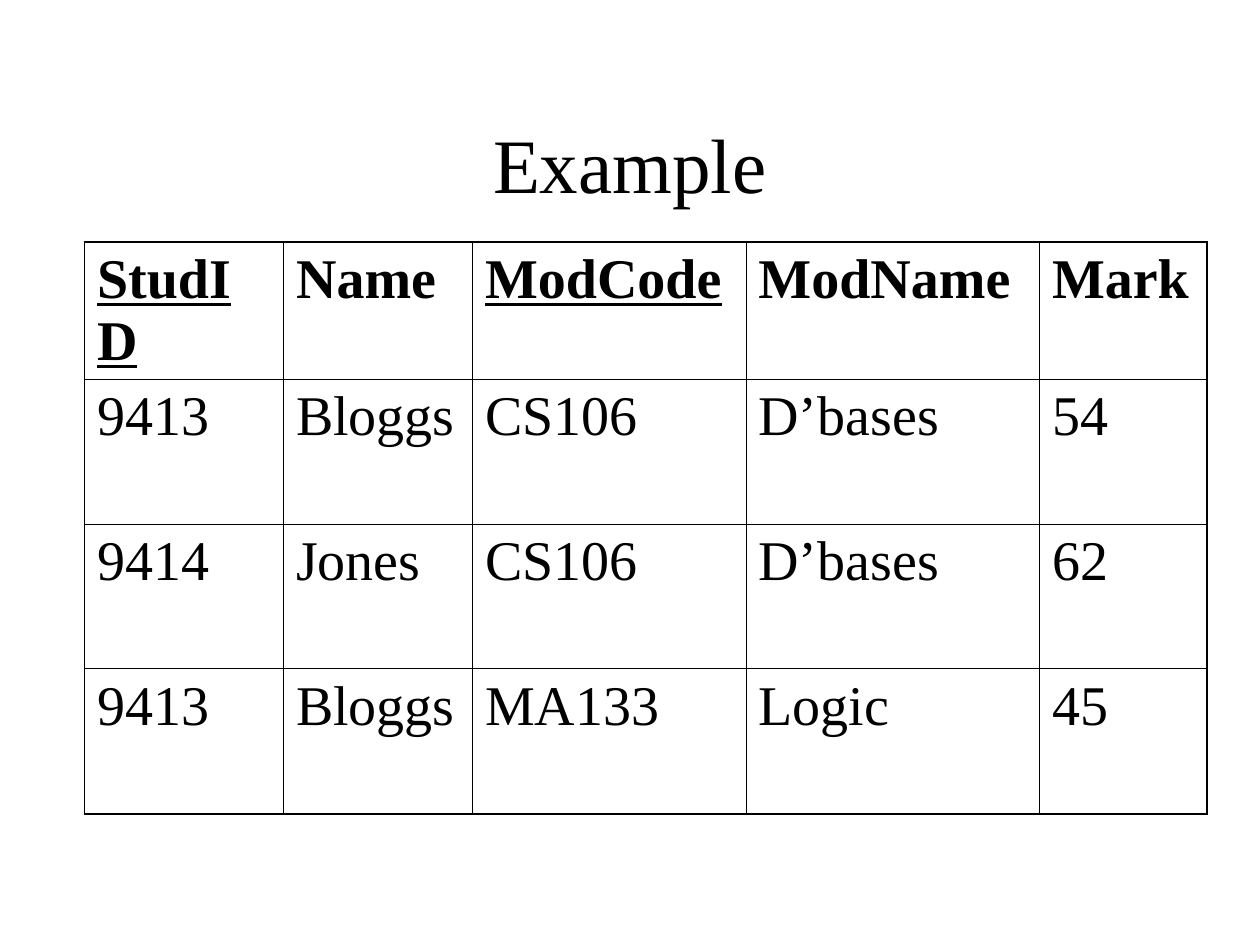
from lxml import etree
from pptx import Presentation
from pptx.dml.color import RGBColor
from pptx.enum.text import MSO_ANCHOR, PP_ALIGN
from pptx.oxml.ns import qn
from pptx.util import Inches, Pt

MIDDLE = MSO_ANCHOR.MIDDLE
CENTER = PP_ALIGN.CENTER
LEFT = PP_ALIGN.LEFT

BLACK = RGBColor(0, 0, 0)
WHITE = RGBColor(255, 255, 255)
FONT_NAME = "Times New Roman"
TITLE_ONLY = 5

INNER_LINE = Pt(0.45)
OUTER_LINE = Pt(1.08)

COLUMN_WIDTHS = [1.58, 1.5, 2.17, 2.33, 1.33]
ROW_HEIGHTS = [1.06, 1.15, 1.15, 1.15]
KEY_COLUMNS = {"StudID", "ModCode"}
MARKS = [
    ["StudID", "Name", "ModCode", "ModName", "Mark"],
    ["9413", "Bloggs", "CS106", "D’bases", "54"],
    ["9414", "Jones", "CS106", "D’bases", "62"],
    ["9413", "Bloggs", "MA133", "Logic", "45"],
]


def format_paragraph(paragraph, size, alignment, bold=False, underline=False):
    paragraph.alignment = alignment
    font = paragraph.font
    font.name = FONT_NAME
    font.size = Pt(size)
    font.bold = bold
    font.underline = underline
    font.color.rgb = BLACK


def add_title(slide, text):
    title = slide.shapes.title
    title.left, title.top = Inches(0.75), Inches(0.67)
    title.width, title.height = Inches(8.5), Inches(1.25)
    title.text_frame.text = text
    title.text_frame.vertical_anchor = MIDDLE
    format_paragraph(title.text_frame.paragraphs[0], 44, CENTER)


def set_border(cell, side, width):
    properties = cell._tc.get_or_add_tcPr()
    line = etree.SubElement(properties, qn(f"a:ln{side}"), w=str(width))
    fill = etree.SubElement(line, qn("a:solidFill"))
    etree.SubElement(fill, qn("a:srgbClr"), val=str(BLACK))


def format_cell(cell, text, is_header, outer_sides):
    cell.text = text
    format_paragraph(cell.text_frame.paragraphs[0], 32, LEFT,
                     bold=is_header, underline=text in KEY_COLUMNS)
    # Borders must precede the fill in the cell properties
    for side in "LRTB":
        set_border(cell, side, OUTER_LINE if side in outer_sides else INNER_LINE)
    cell.fill.background()


def add_marks_table(slide):
    row_count, column_count = len(ROW_HEIGHTS), len(COLUMN_WIDTHS)
    table = slide.shapes.add_table(
        row_count, column_count, Inches(0.67), Inches(1.92),
        Inches(sum(COLUMN_WIDTHS)), Inches(sum(ROW_HEIGHTS))).table
    table.first_row = table.horz_banding = False
    for column, width in zip(table.columns, COLUMN_WIDTHS):
        column.width = Inches(width)
    for row, height in zip(table.rows, ROW_HEIGHTS):
        row.height = Inches(height)

    for row_index, values in enumerate(MARKS):
        for column_index, text in enumerate(values):
            edges = {"L": column_index == 0, "R": column_index == column_count - 1,
                     "T": row_index == 0, "B": row_index == row_count - 1}
            outer_sides = [side for side, is_outer in edges.items() if is_outer]
            format_cell(table.cell(row_index, column_index), text,
                        row_index == 0, outer_sides)


def main():
    presentation = Presentation()
    presentation.slide_width = Inches(10)
    presentation.slide_height = Inches(7.5)
    slide = presentation.slides.add_slide(presentation.slide_layouts[TITLE_ONLY])
    slide.background.fill.solid()
    slide.background.fill.fore_color.rgb = WHITE

    add_title(slide, "Example")
    add_marks_table(slide)
    presentation.save("out.pptx")


if __name__ == "__main__":
    main()
